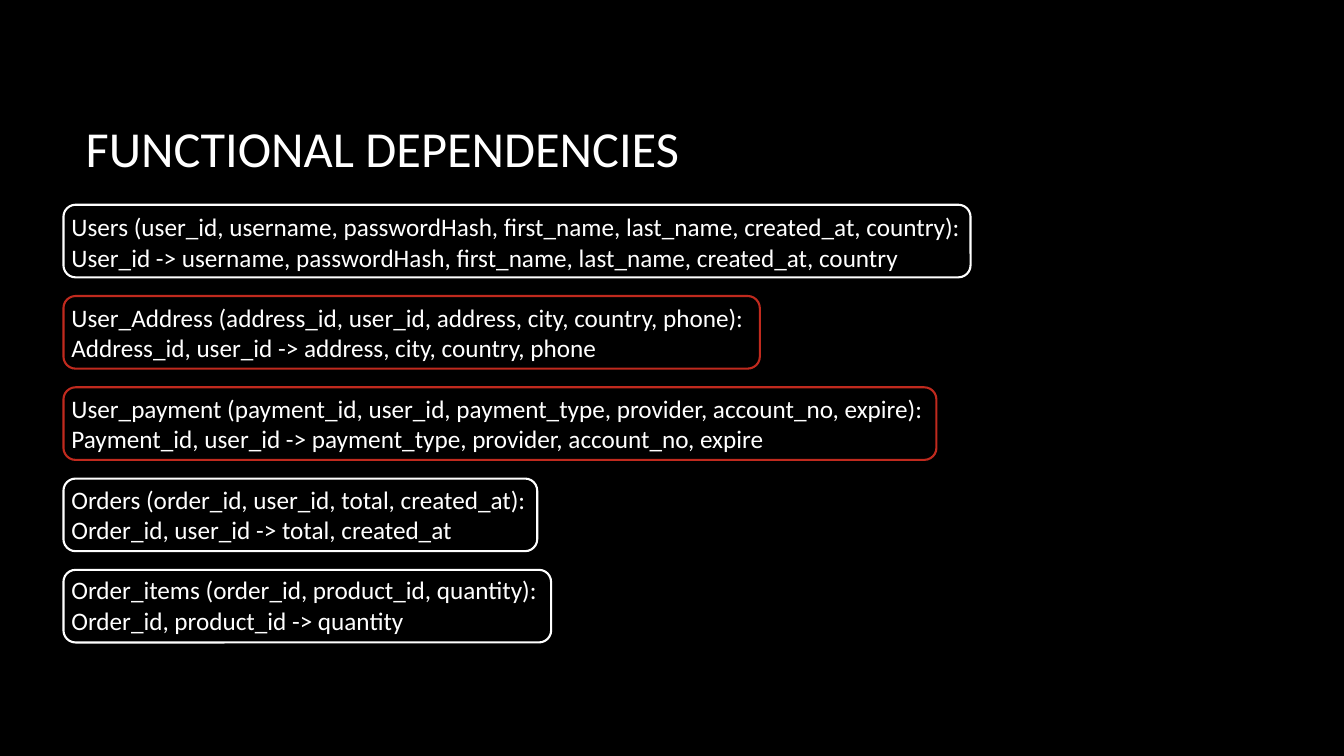
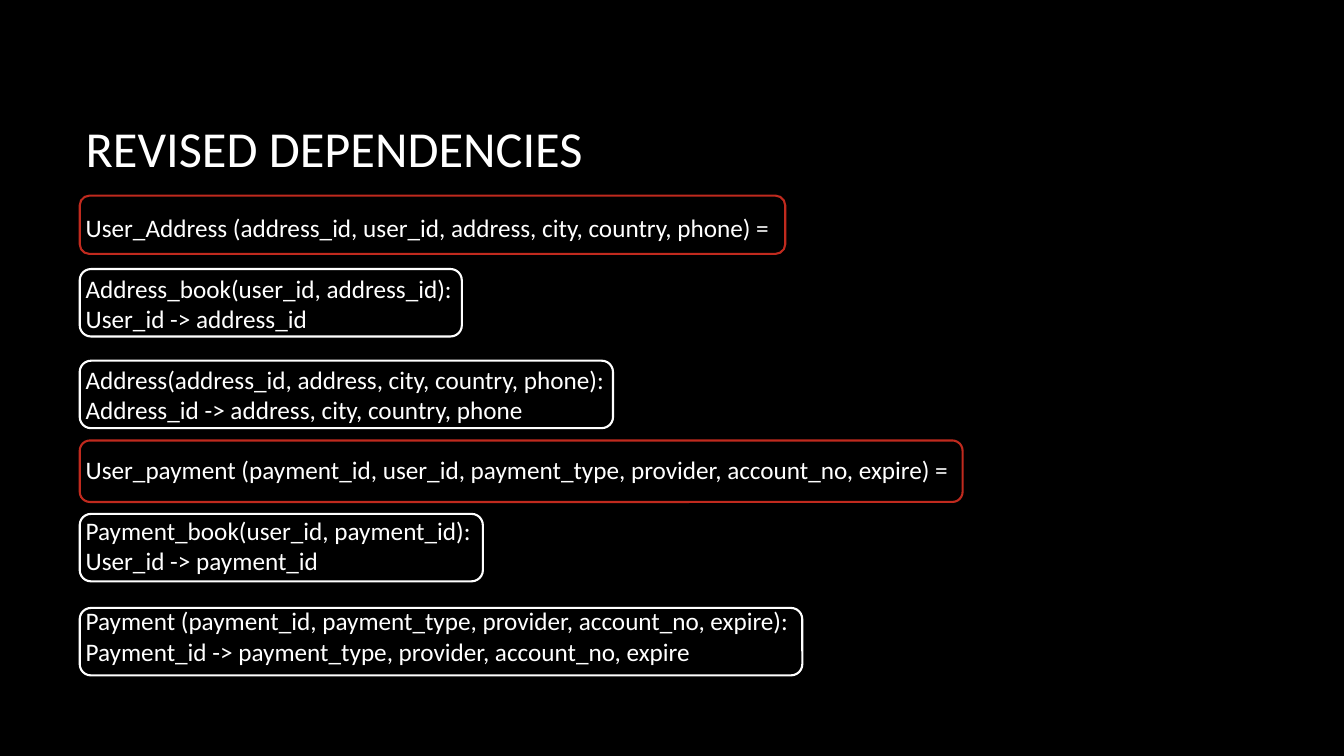
from collections import namedtuple
from pptx import Presentation
from pptx.dml.color import RGBColor
from pptx.enum.shapes import MSO_SHAPE as Preset
from pptx.enum.text import MSO_ANCHOR as Anchor, PP_ALIGN as Align
from pptx.util import Cm, Pt

COLORS = {"background": "000000", "text": "FFFFFF", "kept": "FFFFFF", "split": "C02A1E"}
LINE_PITCH = Pt(21.6)
TITLE_FONT = {"name": "Calibri", "size": Pt(36)}
BODY_FONT = {"name": "Calibri", "size": Pt(18)}
TITLE_BOX = (1.91, 1.7, 28.14, 4.04)

Relation = namedtuple("Relation", "lines status top width height")

FIRST_TOP, ROW_PITCH, ROW_HEIGHT = 5.16, 2.3, 1.83
FUNCTIONAL_ROWS = [
    (["Users (user_id, username, passwordHash, first_name, last_name, created_at, country):",
      "User_id -> username, passwordHash, first_name, last_name, created_at, country"],
     "kept", 22.86),
    (["User_Address (address_id, user_id, address, city, country, phone):",
      "Address_id, user_id -> address, city, country, phone"], "split", 17.55),
    (["User_payment (payment_id, user_id, payment_type, provider, account_no, expire):",
      "Payment_id, user_id -> payment_type, provider, account_no, expire"], "split", 22),
    (["Orders (order_id, user_id, total, created_at):",
      "Order_id, user_id -> total, created_at"], "kept", 11.94),
    (["Order_items (order_id, product_id, quantity):",
      "Order_id, product_id -> quantity"], "kept", 12.29),
]
FUNCTIONAL = [
    Relation(lines, status, FIRST_TOP + row * ROW_PITCH, width, ROW_HEIGHT)
    for row, (lines, status, width) in enumerate(FUNCTIONAL_ROWS)
]
REVISED = [
    Relation(["User_Address (address_id, user_id, address, city, country, phone) ="],
             "split", 4.93, 17.78, 1.47),
    Relation(["Address_book(user_id, address_id):", "User_id -> address_id"],
             "kept", 6.78, 9.63, 1.7),
    Relation(["Address(address_id, address, city, country, phone):",
              "Address_id ->\u00a0address, city, country, phone"], "kept", 9.09, 13.44, 1.7),
    Relation(["User_payment (payment_id, user_id, payment_type, provider, account_no, expire) ="],
             "split", 11.1, 22.25, 1.55),
    Relation(["Payment_book(user_id, payment_id):", "User_id -> payment_id"],
             "kept", 12.95, 10.16, 1.7),
    Relation(["Payment (payment_id, payment_type, provider, account_no, expire):",
              "Payment_id -> payment_type, provider, account_no, expire"],
             "kept", 15.32, 18.21, 1.7),
]


def color(name):
    """Return the named palette colour."""
    return RGBColor.from_string(COLORS[name])


def add_text_frame(slide, box, anchor):
    """Add a wrapping text box and return its text frame."""
    text_frame = slide.shapes.add_textbox(*map(Cm, box)).text_frame
    text_frame.word_wrap = True
    text_frame.vertical_anchor = anchor
    return text_frame


def write(paragraph, text, font_format):
    """Write left-aligned text in the shared text colour."""
    paragraph.text = text
    paragraph.alignment = Align.LEFT
    for name, value in font_format.items():
        setattr(paragraph.font, name, value)
    paragraph.font.color.rgb = color("text")


def add_title(slide, title, box):
    """Place the slide title in the middle of its box."""
    write(add_text_frame(slide, box, Anchor.MIDDLE).paragraphs[0], title, TITLE_FONT)


def add_relations_text(slide, relations, box, anchor):
    """List the relations with one line of space between them."""
    text_frame = add_text_frame(slide, box, anchor)
    for index, relation in enumerate(relations):
        for line_index, line in enumerate(relation.lines):
            is_first = index == line_index == 0
            paragraph = text_frame.paragraphs[0] if is_first else text_frame.add_paragraph()
            write(paragraph, line, BODY_FONT)
            paragraph.line_spacing = LINE_PITCH
            paragraph.space_before = LINE_PITCH if index and line_index == 0 else Pt(0)


def add_frame(slide, relation, left):
    """Outline one relation in the colour of its status."""
    box = (left, relation.top, relation.width, relation.height)
    shape = slide.shapes.add_shape(Preset.ROUNDED_RECTANGLE, *map(Cm, box))
    shape.shadow.inherit = False
    shape.fill.background()
    shape.line.color.rgb = color(relation.status)
    shape.line.width = Pt(1.5)


def add_dependency_slide(presentation, title, relations, text_box, anchor, frame_left):
    """Build a slide of framed relations under a title."""
    slide = presentation.slides.add_slide(presentation.slide_layouts[6])
    add_title(slide, title, TITLE_BOX)
    add_relations_text(slide, relations, text_box, anchor)
    for relation in relations:
        add_frame(slide, relation, frame_left)


def main():
    """Build and save the presentation."""
    presentation = Presentation()
    presentation.slide_width, presentation.slide_height = Cm(33.87), Cm(19.05)
    background = presentation.slide_master.background.fill
    background.solid()
    background.fore_color.rgb = color("background")
    add_dependency_slide(presentation, "FUNCTIONAL DEPENDENCIES", FUNCTIONAL,
                         (1.55, 5.21, 23.77, 11.79), Anchor.TOP, 1.6)
    add_dependency_slide(presentation, "REVISED DEPENDENCIES", REVISED,
                         (1.91, 4.65, 28.14, 12.85), Anchor.MIDDLE, 2.01)
    presentation.save("out.pptx")


main()
